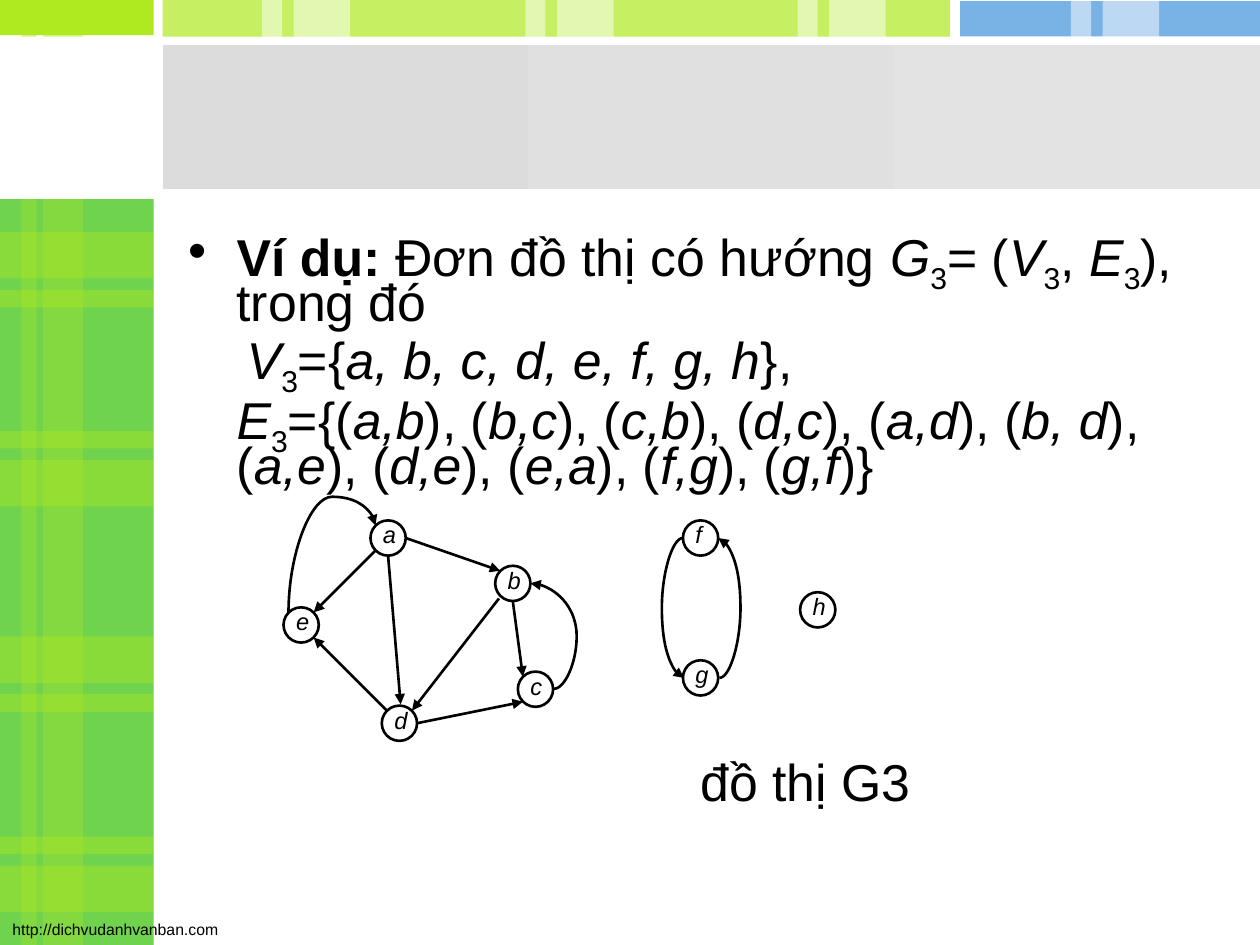
from typing import NamedTuple

from lxml import etree
from pptx import Presentation
from pptx import util as u
from pptx.dml.color import RGBColor
from pptx.enum import shapes as sh
from pptx.oxml import ns

HUES = {"ink": "000000", "leaf": "70D34D", "lime": "AFE91F", "blue": "4192DB",
        "white": "FFFFFF", "gray": "DCDCDC", "pale": "E3E3E3"}
FONT = "Arial"
BODY = 29.6
NODE = 0.28


class Band(NamedTuple):
    x: float
    y: float
    w: float
    h: float
    hue: str
    alpha: int = 100


class Node(NamedTuple):
    name: str
    x: float
    y: float


class Edge(NamedTuple):
    x1: float
    y1: float
    x2: float
    y2: float


class Arc(NamedTuple):
    """Curve whose middle lies `reach` times its width from the start."""
    edge: Edge
    reach: float
    turn: int = 0


class Line(NamedTuple):
    """Runs split by |, each led by b (bold), i (italic), _ (sub) or n."""
    text: str
    left: float
    hang: float = 0
    gap: float = 0


PLAIDS = [(1.84, 0.46), (3.65, -0.23), (5.05, 0.46), (6.87, -0.23)]
TABS = [(2.08, 0.31), (4.17, 0.31), (6.33, 0.31), (8.5, 0.33)]

BANDS = [
    Band(0, 1.58, 1.22, 5.92, "leaf"),
    Band(0, 0, 1.22, 0.28, "lime"),
    Band(1.29, 0, 6.25, 0.29, "lime", 70),
    Band(7.62, 0.01, 2.38, 0.28, "blue", 70),
    Band(0.17, 1.58, 0.12, 5.92, "lime", 30),
    Band(0.34, 1.58, 0.32, 5.92, "lime", 30),
    Band(0.17, 0, 0.12, 0.29, "lime", 50),
    Band(0.34, 0, 0.32, 0.29, "lime", 50),
]
for top, step in PLAIDS:
    BANDS += [Band(0, top, 1.22, 0.37, "lime", 40),
              Band(0, top + step, 1.22, 0.14, "lime", 40)]
for left, high in TABS:
    BANDS += [Band(left, 0, 0.16, high, "white", 50),
              Band(left + 0.25, 0, 0.45, high, "white", 50)]

NODES = [Node("a", 2.94, 4.13), Node("b", 3.93, 4.49), Node("c", 4.11, 5.33),
         Node("d", 3.03, 5.6), Node("e", 2.25, 4.82), Node("f", 5.42, 4.13),
         Node("g", 5.42, 5.24), Node("h", 6.35, 4.7)]
EDGES = [Edge(3.07, 5.64, 2.49, 5.06), Edge(3.08, 4.41, 3.18, 5.59),
         Edge(3.22, 4.27, 3.97, 4.53), Edge(3.96, 4.75, 3.27, 5.64),
         Edge(3.31, 5.74, 4.15, 5.57), Edge(4.07, 4.77, 4.15, 5.37),
         Edge(2.98, 4.37, 2.49, 4.86)]
ARCS = [Arc(Edge(4.21, 4.63, 4.39, 5.47), 2.04),
        Arc(Edge(5.7, 4.27, 5.71, 5.38), 18),
        Arc(Edge(5.43, 5.38, 5.42, 4.27), 18),
        Arc(Edge(2.98, 4.86, 2.29, 4.17), -0.33, 270)]

PAIRS = ["a,b", "b,c", "c,b", "d,c", "a,d", "b, d",
         "a,e", "d,e", "e,a", "f,g", "g,f"]
LINES = [
    Line("bVí dụ: |nĐơn đồ thị có hướng |iG|_3|n= (|iV|_3|n,|i E|_3|n), trong đó",
         0.38, -0.38),
    Line("iV|_3|n={|ia, b, c, d, e, f, g, h|n},", 0.46, gap=5.9),
    Line("iE|_3|n={(|i" + "|n), (|i".join(PAIRS) + "|n)}", 0.38, gap=5.9),
]


def rgb(hue: str) -> RGBColor:
    return RGBColor.from_string(HUES[hue])


def add(tree, tag: str, **attrs: str):
    return etree.SubElement(tree, ns.qn(tag), attrs)


def style(run, size: float, italic: bool = False, bold: bool = False) -> None:
    font = run.font
    font.name, font.size = FONT, u.Pt(size)
    font.italic, font.bold = italic, bold
    font.color.rgb = rgb("ink")


def frame(slide, x: float, y: float, w: float, h: float, pad=(0, 0), wrap=True):
    tf = slide.shapes.add_textbox(*map(u.Inches, (x, y, w, h))).text_frame
    tf.word_wrap = wrap
    tf.margin_left = tf.margin_right = u.Inches(pad[0])
    tf.margin_top = tf.margin_bottom = u.Inches(pad[1])
    return tf


def label(tf, words: str, size: float, italic: bool = False) -> None:
    tf.text = words
    style(tf.paragraphs[0].runs[0], size, italic)


def shape(slide, kind, x: float, y: float, w: float, h: float):
    item = slide.shapes.add_shape(kind, *map(u.Inches, (x, y, w, h)))
    item.shadow.inherit = False
    return item


def draw_band(slide, band: Band) -> None:
    item = shape(slide, sh.MSO_SHAPE.RECTANGLE, *band[:4])
    item.line.fill.background()
    item.fill.solid()
    item.fill.fore_color.rgb = rgb(band.hue)
    if band.alpha < 100:
        tint = item._element.spPr.find(".//" + ns.qn("a:srgbClr"))
        add(tint, "a:alpha", val=str(band.alpha * 1000))


def draw_title(slide) -> None:
    bar = shape(slide, sh.MSO_SHAPE.RECTANGLE, 1.29, 0.36, 8.71, 1.14)
    bar.line.fill.background()
    bar.fill.gradient()
    bar.fill.gradient_angle = 0
    for stop, hue in zip(bar.fill.gradient_stops, ("gray", "pale")):
        stop.color.rgb = rgb(hue)


def draw_node(slide, node: Node) -> None:
    ring = shape(slide, sh.MSO_SHAPE.OVAL, node.x, node.y, NODE, NODE)
    ring.fill.background()
    ring.line.color.rgb = rgb("ink")
    ring.line.width = u.Pt(1.5)
    tf = frame(slide, node.x + 0.09, node.y - 0.01, 0.13, 0.24, (0.01, 0.01))
    label(tf, node.name, 13.5, True)


def draw_link(slide, kind, edge: Edge, end: str):
    link = slide.shapes.add_connector(kind, *map(u.Inches, edge))
    link.line.color.rgb = rgb("ink")
    link.line.width = u.Pt(1.5)
    add(link.line._get_or_add_ln(), end, type="triangle")
    add(link._element.spPr, "a:effectLst")
    return link


def draw_arc(slide, arc: Arc) -> None:
    link = draw_link(slide, sh.MSO_CONNECTOR.CURVE, arc.edge, "a:headEnd")
    props = link._element.spPr
    guides = props.find(".//" + ns.qn("a:avLst"))
    add(guides, "a:gd", name="adj1", fmla=f"val {round(arc.reach * 100000)}")
    if arc.turn:
        props.find(ns.qn("a:xfrm")).set("rot", str(arc.turn * 60000))


def draw_line(para, line: Line) -> None:
    props = para._p.get_or_add_pPr()
    props.set("marL", str(u.Inches(line.left)))
    props.set("indent", str(u.Inches(line.hang)))
    para.line_spacing = 0.7
    para.space_before = u.Pt(line.gap)
    if line.hang:
        add(props, "a:buFont", typeface=FONT)
        add(props, "a:buChar", char="•")
    for part in line.text.split("|"):
        run = para.add_run()
        run.text = part[1:]
        style(run, BODY, part[0] == "i", part[0] == "b")
        if part[0] == "_":
            run.font._element.set("baseline", "-25000")


def main() -> None:
    deck = Presentation()
    deck.slide_width, deck.slide_height = u.Inches(10), u.Inches(7.5)
    slide = deck.slides.add_slide(deck.slide_layouts[6])
    for band in BANDS:
        draw_band(slide, band)
    draw_title(slide)
    label(frame(slide, 0, 7.25, 1.85, 0.25, (0.1, 0.05), False),
          "http://dichvudanhvanban.com", 9)
    body = frame(slide, 1.4, 1.83, 8.1, 2.1, (0.1, 0.05))
    for i, line in enumerate(LINES):
        draw_line(body.add_paragraph() if i else body.paragraphs[0], line)
    label(frame(slide, 5.56, 5.95, 2.5, 0.5), "đồ thị G3", BODY)
    for node in NODES:
        draw_node(slide, node)
    for edge in EDGES:
        draw_link(slide, sh.MSO_CONNECTOR.STRAIGHT, edge, "a:tailEnd")
    for arc in ARCS:
        draw_arc(slide, arc)
    deck.save("out.pptx")


if __name__ == "__main__":
    main()
